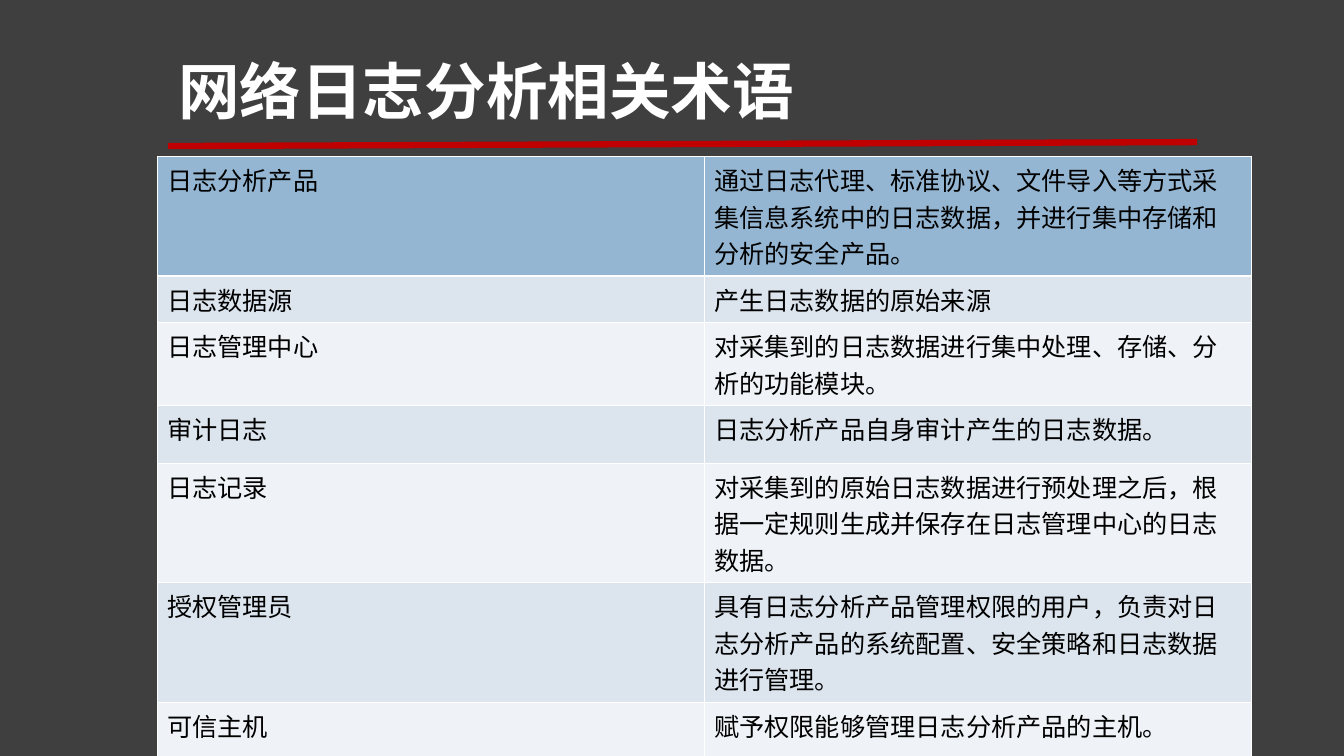
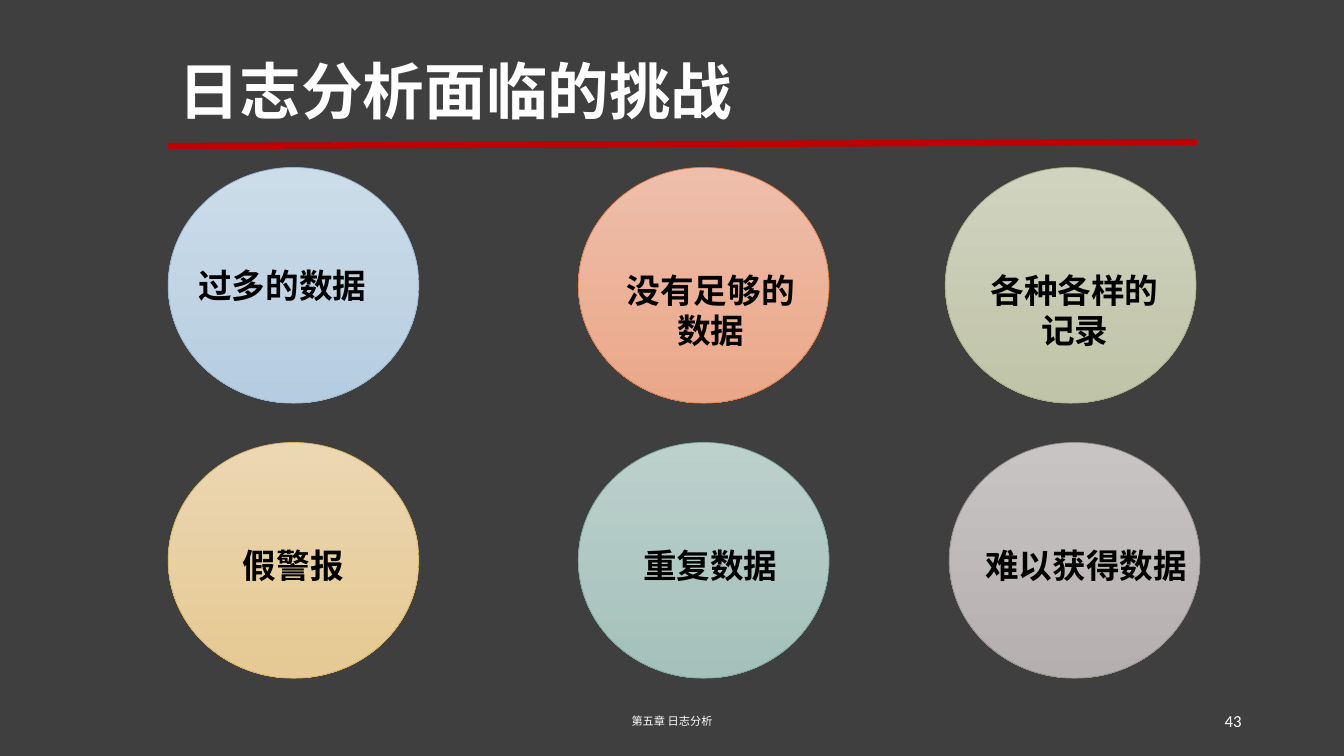
from lxml.etree import SubElement
from pptx import Presentation
from pptx.dml.color import RGBColor
from pptx.enum.lang import MSO_LANGUAGE_ID
from pptx.enum.shapes import MSO_CONNECTOR, MSO_SHAPE
from pptx.enum.text import MSO_ANCHOR, MSO_AUTO_SIZE, PP_ALIGN
from pptx.oxml.ns import qn
from pptx.util import Cm, Pt

DARK = RGBColor(0x3F, 0x3F, 0x3F)
WHITE = RGBColor(0xFF, 0xFF, 0xFF)
BLACK = RGBColor(0, 0, 0)
RED = RGBColor(0xC0, 0, 0)
HEAD = RGBColor(0x94, 0xB6, 0xD2)
BANDS = [RGBColor(0xEF, 0xF3, 0xF7), RGBColor(0xDC, 0xE5, 0xEE)]
LATIN, HAN = "Calibri", "Noto Sans CJK SC"

# term, meaning, row height in cm
TERMS = [
    ("日志分析产品", "通过日志代理、标准协议、文件导入等方式采集信息系统中的日志数据，并进行集中存储和分析的安全产品。", 2.69),
    ("日志数据源", "产生日志数据的原始来源", 1.02),
    ("日志管理中心", "对采集到的日志数据进行集中处理、存储、分析的功能模块。", 1.78),
    ("审计日志", "日志分析产品自身审计产生的日志数据。", 1.45),
    ("日志记录", "对采集到的原始日志数据进行预处理之后，根据一定规则生成并保存在日志管理中心的日志数据。", 2.54),
    ("授权管理员", "具有日志分析产品管理权限的用户，负责对日志分析产品的系统配置、安全策略和日志数据进行管理。", 2.54),
    ("可信主机", "赋予权限能够管理日志分析产品的主机。", 1.45),
]

# label, its box in cm, gradient start, gradient end, outline
RISKS = [
    ("过多的数据", (4.75, 6.55, 5.31, 1.27), "CCDCE9", "B6CDE1", "94B6D2"),
    ("没有足够的数据", (15.39, 6.68, 5.05, 2.29), "EEBEAA", "EBA789", "DD8047"),
    ("各种各样的记录", (24.31, 6.68, 5.56, 2.29), "D0D3BF", "C0C4A8", "A5AB81"),
    ("假警报", (4.55, 13.61, 5.69, 1.27), "EBD7B2", "E6C993", "D8B25C"),
    ("重复数据", (15.06, 13.61, 5.69, 1.27), "BCD0CC", "A4C1BA", "7BA79D"),
    ("难以获得数据", (24.51, 13.61, 5.74, 1.27), "C8C4C4", "B5AFAF", "968C8C"),
]
ROWS = [(4.22, (4.24, 14.58, 23.83)), (11.15, (4.24, 14.58, 23.93))]
SPOTS = [(x, y) for y, xs in ROWS for x in xs]


def style(frame, size, color, latin=LATIN, han=HAN, bold=False,
          align=PP_ALIGN.LEFT):
    for para in frame.paragraphs:
        para.alignment = align
        for run in para.runs:
            font = run.font
            font.size, font.bold, font.name = Pt(size), bold, latin
            font.color.rgb = color
            font.language_id = MSO_LANGUAGE_ID.SIMPLIFIED_CHINESE
            SubElement(run._r.get_or_add_rPr(), qn("a:ea"), typeface=han)


def add_text(slide, text, box, size, color, anchor=MSO_ANCHOR.TOP, **look):
    frame = slide.shapes.add_textbox(*map(Cm, box)).text_frame
    frame.word_wrap = True
    frame.vertical_anchor = anchor
    frame.text = text
    style(frame, size, color, **look)


def edge(cell, side, width):
    line = SubElement(cell._tc.get_or_add_tcPr(), qn("a:ln" + side),
                      w=str(Pt(width)))
    fill = SubElement(line, qn("a:solidFill"))
    SubElement(fill, qn("a:srgbClr"), val=str(WHITE))


def set_theme(prs, layout):
    """Give the layout its background, title place and red rule."""
    back = prs.slide_master.background.fill
    back.solid()
    back.fore_color.rgb = DARK
    title = layout.placeholders[0]
    title.left, title.top = Cm(4.24), Cm(0.53)
    title.width, title.height = Cm(25.93), Cm(3.68)


def add_rule(slide, layout):
    """Draw the red rule and hand it over to the layout."""
    rule = slide.shapes.add_connector(MSO_CONNECTOR.STRAIGHT, Cm(4.24),
                                      Cm(3.68), Cm(30.18), Cm(3.58))
    rule.line.color.rgb = RED
    rule.line.width = Pt(4.5)
    SubElement(rule.element.spPr, qn("a:effectLst"))
    layout.shapes.element.append(rule.element)


def new_slide(prs, layout, title):
    slide = prs.slides.add_slide(layout)
    frame = slide.shapes.title.text_frame
    frame.text = title
    frame.auto_size = MSO_AUTO_SIZE.NONE
    frame.vertical_anchor = MSO_ANCHOR.MIDDLE
    frame.paragraphs[0].line_spacing = 0.9
    style(frame, 44, WHITE, latin=HAN, bold=True)
    return slide


def add_terms(slide):
    high = sum(row[2] for row in TERMS)
    table = slide.shapes.add_table(len(TERMS), 2, Cm(3.96), Cm(3.94),
                                   Cm(27.58), Cm(high)).table
    table.first_row = table.horz_banding = False
    for i, (*texts, tall) in enumerate(TERMS):
        table.rows[i].height = Cm(tall)
        for j, text in enumerate(texts):
            cell = table.cell(i, j)
            cell.text = text
            style(cell.text_frame, 18, BLACK)
            for side in "LRTB":
                thick = (i, side) in [(0, "B"), (1, "T")]
                edge(cell, side, 1.47 if thick else 0.45)
            cell.fill.solid()
            cell.fill.fore_color.rgb = BANDS[i % 2] if i else HEAD


def add_risks(slide):
    for (x, y), (_, _, start, end, rim) in zip(SPOTS, RISKS):
        disc = slide.shapes.add_shape(MSO_SHAPE.OVAL, Cm(x), Cm(y),
                                      Cm(6.32), Cm(5.94))
        disc.shadow.inherit = False
        disc.fill.gradient()
        disc.fill.gradient_angle = 270
        for stop, tone in zip(disc.fill.gradient_stops, (start, end)):
            stop.color.rgb = RGBColor.from_string(tone)
        disc.line.color.rgb = RGBColor.from_string(rim)
        disc.line.width = Pt(0.5)
    for i, (text, box, *_) in enumerate(RISKS):
        add_text(slide, text, box, 24, BLACK, han=LATIN, bold=True,
                 align=PP_ALIGN.CENTER if i else PP_ALIGN.LEFT)


def add_footer(slide, text, number):
    add_text(slide, text, (11.23, 17.65, 11.43, 1.02), 8, WHITE,
             MSO_ANCHOR.MIDDLE, latin=HAN, align=PP_ALIGN.CENTER)
    add_text(slide, number, (23.93, 17.65, 7.62, 1.02), 12, WHITE,
             MSO_ANCHOR.MIDDLE, align=PP_ALIGN.RIGHT)


def main():
    prs = Presentation()
    prs.slide_width, prs.slide_height = Cm(33.88), Cm(19.05)
    layout = prs.slide_layouts[5]
    set_theme(prs, layout)

    terms = new_slide(prs, layout, "网络日志分析相关术语")
    add_rule(terms, layout)
    add_terms(terms)

    risks = new_slide(prs, layout, "日志分析面临的挑战")
    add_footer(risks, "第五章 日志分析", "43")
    add_risks(risks)
    prs.save("out.pptx")


if __name__ == "__main__":
    main()
